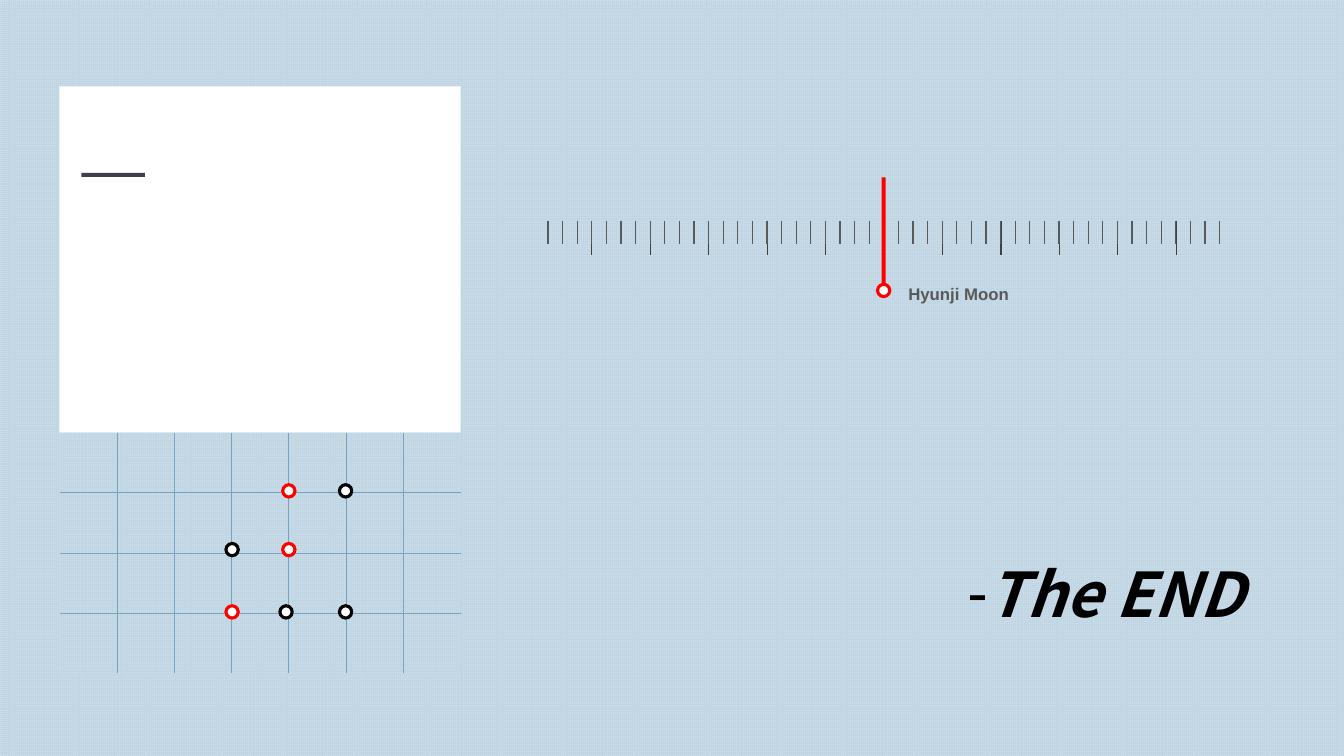
import lxml.etree
import pptx
import pptx.dml.color
import pptx.enum.dml
import pptx.enum.shapes
import pptx.enum.text
import pptx.oxml.ns
import pptx.util
from pptx.util import Cm

COLORS = {
    "paper": "FFFFFF",
    "grid_front": "C1D6E5",
    "grid_back": "CDDEE9",
    "grid_line": "75A4C1",
    "long_tick": "404040",
    "short_tick": "595959",
    "name": "595959",
    "accent": "FF0000",
    "black": "000000",
    "dash": "413D4B",
}
SHAPES = pptx.enum.shapes.MSO_SHAPE
DOT_SIZE = 0.31


def rgb(name):
    return pptx.dml.color.RGBColor.from_string(COLORS[name])


def add_element(parent, tag, **attributes):
    return lxml.etree.SubElement(parent, pptx.oxml.ns.qn(tag), attributes)


def add_block(shapes, box, color, kind=SHAPES.RECTANGLE):
    block = shapes.add_shape(kind, *map(Cm, box))
    block.shadow.inherit = False
    block.fill.solid()
    block.fill.fore_color.rgb = rgb(color)
    block.line.fill.background()
    return block


def add_grid_paper(shapes, box):
    paper = add_block(shapes, box, "paper")
    paper.fill.patterned()
    paper.fill.pattern = pptx.enum.dml.MSO_PATTERN.SMALL_GRID
    paper.fill.fore_color.rgb = rgb("grid_front")
    paper.fill.back_color.rgb = rgb("grid_back")


def add_dot(shapes, center_x, center_y, color):
    box = (center_x - DOT_SIZE / 2, center_y - DOT_SIZE / 2, DOT_SIZE, DOT_SIZE)
    dot = add_block(shapes, box, "paper", SHAPES.OVAL)
    dot.line.color.rgb = rgb(color)
    dot.line.width = pptx.util.Pt(2.25)


def add_border(properties, tag, visible, color, points):
    border = add_element(properties, tag, w=str(pptx.util.Pt(points)))
    if visible:
        fill = add_element(border, "a:solidFill")
        add_element(fill, "a:srgbClr", val=COLORS[color])
    else:
        add_element(border, "a:noFill")


def add_ruled_table(shapes, box, rows, columns, color, points):
    """Add an empty table that shows only its inner lines."""
    table = shapes.add_table(rows, columns, *map(Cm, box)).table
    table.first_row = table.horz_banding = False
    for column in table.columns:
        column.width = Cm(box[2] / columns)
    for row in table.rows:
        row.height = Cm(box[3] / rows)
    for r in range(rows):
        for c in range(columns):
            cell = table.cell(r, c)
            for side in ("left", "right", "top", "bottom"):
                setattr(cell, f"margin_{side}", 0)
            add_element(cell.text_frame.paragraphs[0]._p, "a:endParaRPr", sz="100")
            properties = cell._tc.get_or_add_tcPr()
            inner = {
                "a:lnL": c > 0,
                "a:lnR": c < columns - 1,
                "a:lnT": r > 0,
                "a:lnB": r < rows - 1,
            }
            for tag, visible in inner.items():
                add_border(properties, tag, visible, color, points)
            add_element(properties, "a:noFill")


def add_text(shapes, box, text, color, frame_format, font_format):
    frame = shapes.add_textbox(*map(Cm, box)).text_frame
    for name, value in frame_format.items():
        setattr(frame, name, value)
    paragraph = frame.paragraphs[0]
    paragraph.line_spacing = 1.5
    run = paragraph.add_run()
    run.text = text
    run.font.color.rgb = rgb(color)
    for name, value in font_format.items():
        setattr(run.font, name, value)
    return paragraph


def add_dash_bullet(paragraph, indent):
    properties = paragraph._p.get_or_add_pPr()
    properties.set("marL", str(Cm(indent)))
    properties.set("indent", str(-Cm(indent)))
    add_element(properties, "a:buFont", typeface="Arial")
    add_element(properties, "a:buChar", char="-")


def add_ruler(shapes):
    left, top, width = 13.44, 5.56, 17.68
    add_ruled_table(shapes, (left, top, width, 0.86), 1, 12, "long_tick", 1)
    add_ruled_table(shapes, (left, top, width, 0.6), 1, 48, "short_tick", 1)
    add_text(
        shapes, (22.89, 6.55, 7.65, 1.45), "Hyunji Moon", "name",
        {"word_wrap": True, "vertical_anchor": pptx.enum.text.MSO_ANCHOR.MIDDLE,
         "margin_left": 0, "margin_right": 0, "margin_top": 0, "margin_bottom": 0},
        {"name": "Arial", "size": pptx.util.Pt(12), "bold": True},
    )
    marker = shapes.add_group_shape().shapes
    add_block(marker, (22.22, 4.47, 0.1, 2.9), "accent")
    add_dot(marker, 22.27, 7.32, "accent")


def add_card(shapes):
    left, width, fold = 1.5, 10.11, 10.9
    lower_half = (left, fold, width, 6.07)
    add_grid_paper(shapes, lower_half)
    add_block(shapes, (left, 2.18, width, fold - 2.18), "paper")
    add_ruled_table(shapes, lower_half, 4, 7, "grid_line", 0.5)
    dots = {
        "accent": [(7.28, 12.37), (7.28, 13.85), (5.85, 15.42)],
        "black": [(7.21, 15.42), (8.71, 12.37), (8.71, 15.42), (5.85, 13.85)],
    }
    for color, centers in dots.items():
        for x, y in centers:
            add_dot(shapes, x, y, color)
    add_block(shapes, (2.05, 4.36, 1.6, 0.1), "dash")


def add_closing(shapes):
    closing = add_text(
        shapes, (24.13, 12.95, 13.31, 2.72), "The END", "black",
        {"word_wrap": True,
         "auto_size": pptx.enum.text.MSO_AUTO_SIZE.SHAPE_TO_FIT_TEXT},
        {"name": "Noto Sans CJK KR", "size": pptx.util.Pt(44),
         "bold": True, "italic": True},
    )
    add_dash_bullet(closing, 0.48)


def main():
    deck = pptx.Presentation()
    deck.slide_width, deck.slide_height = Cm(33.87), Cm(19.05)
    shapes = deck.slides.add_slide(deck.slide_layouts[6]).shapes
    add_grid_paper(shapes, (0, 0, 33.87, 19.05))
    add_ruler(shapes)
    add_card(shapes)
    add_closing(shapes)
    deck.save("out.pptx")


if __name__ == "__main__":
    main()
